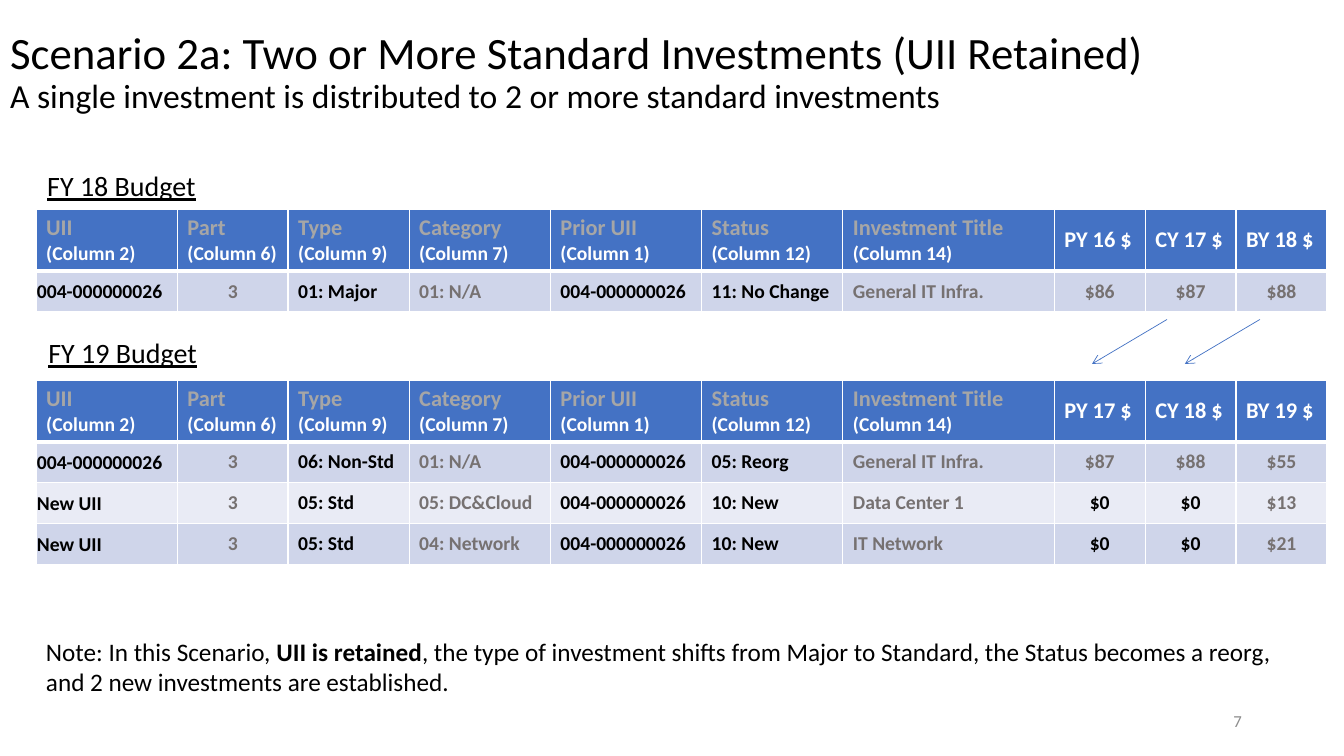
from dataclasses import dataclass

from lxml.etree import SubElement
from pptx import Presentation
from pptx.dml.color import RGBColor as RGB
from pptx.enum.shapes import MSO_CONNECTOR
from pptx.enum.text import MSO_ANCHOR as ANCHOR, MSO_AUTO_SIZE as AUTO_SIZE, PP_ALIGN as ALIGN
from pptx.oxml.ns import qn
from pptx.util import Cm, Pt


@dataclass(frozen=True)
class Theme:
    font: str = "Calibri"
    black: str = "000000"
    white: str = "FFFFFF"
    blue: str = "4472C4"
    band_dark: str = "CFD5EA"
    band_light: str = "E9EBF5"
    head_grey: str = "A6A6A6"
    body_grey: str = "767171"
    number_grey: str = "8C8C8C"
    title: int = 32
    subtitle: int = 24
    label: int = 20
    note: int = 18
    head: int = 16
    cell: int = 14
    number: int = 12


THEME = Theme()
TABLE_LEFT = 0.91
HEAD_HEIGHT, ROW_HEIGHT = 1.55, 1.03
COLUMN_WIDTHS = [3.56, 2.79, 3.05, 3.56, 3.81, 3.56, 5.33, 2.29, 2.29, 2.29]
FIELDS = [("UII", 2), ("Part", 6), ("Type", 9), ("Category", 7),
          ("Prior UII", 1), ("Status", 12), ("Investment Title", 14)]
BLACK_COLUMNS = {0, 2, 4, 5}
CENTRED_COLUMNS = {1, 7, 8, 9}
FY18_ROWS = [
    ["004-000000026", "3", "01: Major", "01: N/A", "004-000000026",
     "11: No Change", "General IT Infra.", "$86", "$87", "$88"],
]
FY19_ROWS = [
    ["004-000000026", "3", "06: Non-Std", "01: N/A", "004-000000026",
     "05: Reorg", "General IT Infra.", "$87", "$88", "$55"],
    ["New UII", "3", "05: Std", "05: DC&Cloud", "004-000000026",
     "10: New", "Data Center 1", "$0", "$0", "$13"],
    ["New UII", "3", "05: Std", "04: Network", "004-000000026",
     "10: New", "IT Network", "$0", "$0", "$21"],
]


def set_font(font, size, color, bold=False):
    font.name = THEME.font
    font.size = Pt(size)
    font.bold = bold
    font.color.rgb = RGB.from_string(color)


def set_title(s, heading, subheading):
    sp = s.shapes.title
    sp.left, sp.top, sp.width, sp.height = Cm(0), Cm(0.25), Cm(33.87), Cm(3.18)
    tf = sp.text_frame
    tf.auto_size = AUTO_SIZE.NONE
    tf.vertical_anchor = ANCHOR.MIDDLE
    p = tf.paragraphs[0]
    p.alignment = ALIGN.LEFT
    p.line_spacing = 0.9
    set_font(p.font, THEME.title, THEME.black)
    p.add_run().text = heading
    p.add_line_break()
    r = p.add_run()
    r.text = subheading
    r.font.size = Pt(THEME.subtitle)


def add_text(s, left, top, width, height, text, size, color):
    """Add a wrapping text box and return its only paragraph."""
    tf = s.shapes.add_textbox(Cm(left), Cm(top), Cm(width), Cm(height)).text_frame
    tf.word_wrap = True
    p = tf.paragraphs[0]
    p.add_run().text = text
    set_font(p.font, size, color)
    return p


def add_budget_label(s, left, top, text):
    p = add_text(s, left, top, 6.07, 1.5, text, THEME.label, THEME.black)
    p.line_spacing = 0.9
    p.font.underline = True


def add_note(s):
    p = add_text(s, 0.91, 15.9, 32.18, 1.8, "Note: In this Scenario, ",
                 THEME.note, THEME.black)
    r = p.add_run()
    r.text = "UII is retained"
    r.font.bold = True
    p.add_run().text = (", the type of investment shifts from Major to Standard, "
                        "the Status becomes a reorg, and 2 new investments are established.")


def add_slide_number(s, number):
    p = add_text(s, 23.93, 17.65, 7.62, 1.02, number, THEME.number, THEME.number_grey)
    p.alignment = ALIGN.RIGHT
    s.shapes[-1].text_frame.vertical_anchor = ANCHOR.MIDDLE


def style_cell(cell, fill, bottom_width=1):
    """Fill a cell and give it white borders."""
    props = cell._tc.get_or_add_tcPr()
    for side, width in (("L", 1), ("R", 1), ("T", 1), ("B", bottom_width)):
        ln = SubElement(props, qn(f"a:ln{side}"), w=str(Pt(width)))
        SubElement(SubElement(ln, qn("a:solidFill")), qn("a:srgbClr"), val=THEME.white)
    cell.fill.solid()
    cell.fill.fore_color.rgb = RGB.from_string(fill)


def fill_header(table, years):
    for cell, (name, number) in zip(table.rows[0].cells, FIELDS):
        cell.text = f"{name}\n(Column {number})"
        first, second = cell.text_frame.paragraphs
        set_font(first.font, THEME.head, THEME.head_grey, bold=True)
        set_font(second.font, THEME.cell, THEME.white, bold=True)
    for cell, year in zip(list(table.rows[0].cells)[len(FIELDS):], years):
        cell.text = year
        cell.vertical_anchor = ANCHOR.MIDDLE
        set_font(cell.text_frame.paragraphs[0].font, THEME.head, THEME.white, bold=True)
    for cell in table.rows[0].cells:
        style_cell(cell, THEME.blue, bottom_width=3)


def fill_body_cell(cell, column, text, band):
    cell.text = text
    cell.vertical_anchor = ANCHOR.MIDDLE
    p = cell.text_frame.paragraphs[0]
    is_black = column in BLACK_COLUMNS or text == "$0"
    set_font(p.font, THEME.cell, THEME.black if is_black else THEME.body_grey, bold=True)
    if column in CENTRED_COLUMNS:
        p.alignment = ALIGN.CENTER
    if column == 0:
        cell.margin_left = cell.margin_right = cell.margin_top = Cm(0.02)
        cell.margin_bottom = Cm(0)
    style_cell(cell, band)


def add_budget_table(s, top, years, rows):
    height = HEAD_HEIGHT + ROW_HEIGHT * len(rows)
    table = s.shapes.add_table(len(rows) + 1, len(COLUMN_WIDTHS), Cm(TABLE_LEFT), Cm(top),
                               Cm(sum(COLUMN_WIDTHS)), Cm(height)).table
    for column, width in zip(table.columns, COLUMN_WIDTHS):
        column.width = Cm(width)
    for i, row in enumerate(table.rows):
        row.height = Cm(ROW_HEIGHT if i else HEAD_HEIGHT)
    fill_header(table, years)
    for i, row in enumerate(rows, 1):
        band = THEME.band_dark if i % 2 else THEME.band_light
        for column, text in enumerate(row):
            fill_body_cell(table.cell(i, column), column, text, band)


def add_arrow(s, x1, y1, x2, y2):
    line = s.shapes.add_connector(MSO_CONNECTOR.STRAIGHT, Cm(x1), Cm(y1), Cm(x2), Cm(y2))
    line.line.color.rgb = RGB.from_string(THEME.blue)
    line.line.width = Pt(0.5)
    SubElement(line.line._get_or_add_ln(), qn("a:tailEnd"), type="arrow")
    SubElement(line._element.spPr, qn("a:effectLst"))


def main():
    prs = Presentation()
    prs.slide_width, prs.slide_height = Cm(33.87), Cm(19.05)
    s = prs.slides.add_slide(prs.slide_layouts[5])
    set_title(s, "Scenario 2a: Two or More Standard Investments (UII Retained)",
              "A single investment is distributed to 2 or more standard investments")
    add_budget_label(s, 0.94, 4.22, "FY 18 Budget")
    add_budget_table(s, 5.28, ["PY 16 $", "CY 17 $", "BY 18 $"], FY18_ROWS)
    add_budget_label(s, 0.97, 8.43, "FY 19 Budget")
    add_budget_table(s, 9.58, ["PY 17 $", "CY 18 $", "BY 19 $"], FY19_ROWS)
    add_note(s)
    for x in (29.41, 31.75):
        add_arrow(s, x, 8.05, x - 1.89, 9.17)
    add_slide_number(s, "7")
    prs.save("out.pptx")


if __name__ == "__main__":
    main()
